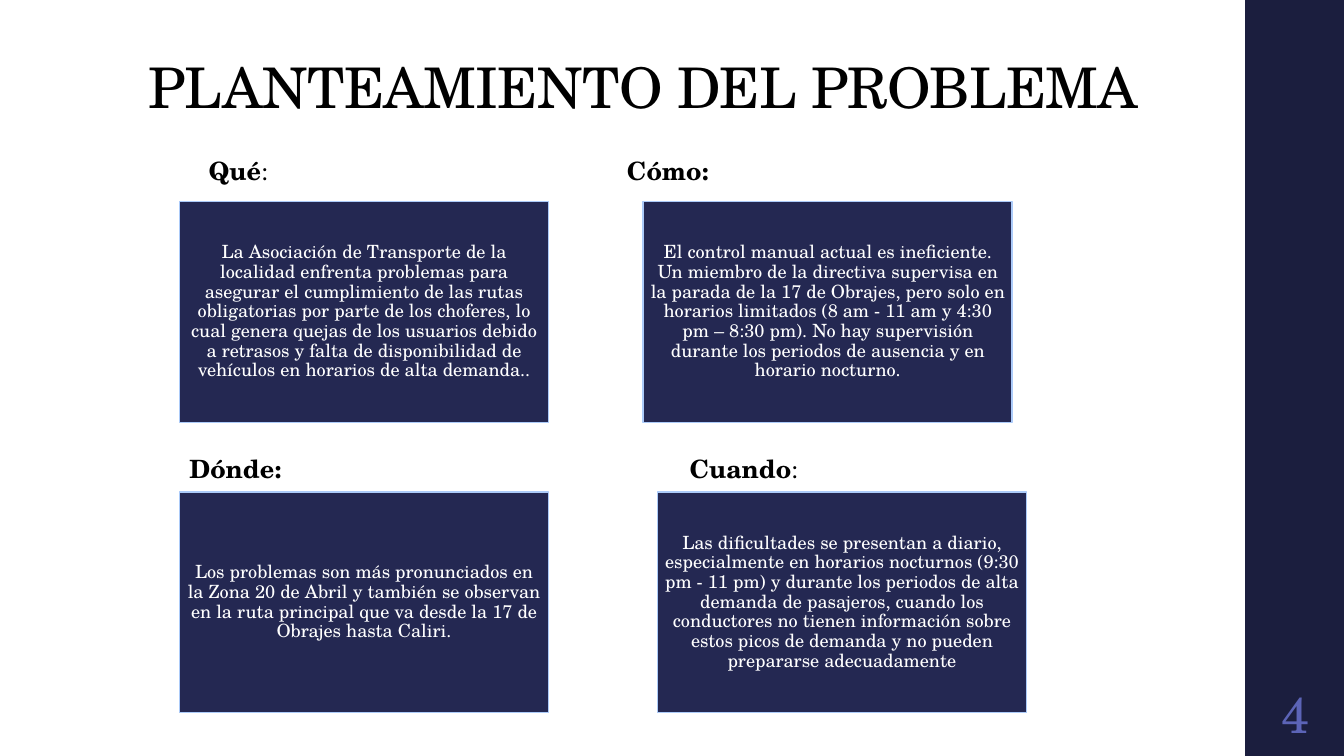
"""Builds the slide that states the problem: what, how, where and when."""
from pptx import Presentation
from pptx import util as u
from pptx.dml.color import RGBColor
from pptx.enum import shapes, text

PX = 9144
FONT = "TeX Gyre Schola"
BLACK = RGBColor(0x00, 0x00, 0x00)
WHITE = RGBColor(0xFF, 0xFF, 0xFF)
SIDEBAR = RGBColor(0x1B, 0x1E, 0x3E)
CARD = RGBColor(0x24, 0x28, 0x52)
CARD_EDGE = RGBColor(0xAC, 0xCB, 0xF9)
NUMBER = RGBColor(0x5C, 0x64, 0xB7)
CARD_WIDTH, CARD_HEIGHT = 366, 219


def px(*lengths):
    return [u.Emu(length * PX) for length in lengths]


def write(frame, runs, size, color, align, inset=None, **frame_format):
    for name, value in frame_format.items():
        setattr(frame, name, value)
    if inset is not None:
        for side in ("left", "top", "right", "bottom"):
            setattr(frame, f"margin_{side}", u.Emu(inset * PX))
    paragraph = frame.paragraphs[0]
    paragraph.alignment = align
    for words, bold in runs:
        run = paragraph.add_run()
        run.text = words
        run.font.color.rgb = color
        for name, value in {"name": FONT, "size": u.Pt(size), "bold": bold}.items():
            setattr(run.font, name, value)
    return paragraph


prs = Presentation()
prs.slide_width, prs.slide_height = px(1333, 750)
slide = prs.slides.add_slide(prs.slide_layouts[5])

sidebar = slide.shapes.add_shape(shapes.MSO_SHAPE.RECTANGLE, *px(1235, 0, 100, 750))
sidebar.shadow.inherit = False
sidebar.fill.solid()
sidebar.fill.fore_color.rgb = SIDEBAR
sidebar.line.fill.background()

title = slide.shapes.title
title.left, title.top, title.width, title.height = px(137, 24, 1060, 101)
heading = write(title.text_frame, [("PLANTEAMIENTO DEL PROBLEMA", False)], 40, BLACK,
                text.PP_ALIGN.LEFT, vertical_anchor=text.MSO_ANCHOR.BOTTOM,
                word_wrap=True, auto_size=text.MSO_AUTO_SIZE.NONE)
heading.line_spacing = 0.9
heading.runs[0]._r.get_or_add_rPr().set("spc", "-50")

questions = [
    ([("Qué", True), (":", False)], (197, 149, 80, 40), (178, 200),
     "La Asociación de Transporte de la localidad enfrenta problemas para asegurar el "
     "cumplimiento de las rutas obligatorias por parte de los choferes, lo cual genera "
     "quejas de los usuarios debido a retrasos y falta de disponibilidad de vehículos en "
     "horarios de alta demanda.."),
    ([("Cómo:", True)], (612, 149, 102, 40), (638, 200),
     "El control manual actual es ineficiente. Un miembro de la directiva supervisa en la "
     "parada de la 17 de Obrajes, pero solo en horarios limitados (8 am - 11 am y 4:30 pm "
     "– 8:30 pm). No hay supervisión durante los periodos de ausencia y en horario "
     "nocturno."),
    ([("Dónde:", True)], (178, 445, 112, 40), (178, 488),
     "Los problemas son más pronunciados en la Zona 20 de Abril y también se observan en "
     "la ruta principal que va desde la 17 de Obrajes hasta Caliri."),
    ([("Cuando", True), (":", False)], (674, 445, 129, 40), (652, 488),
     "Las dificultades se presentan a diario, especialmente en horarios nocturnos (9:30 pm "
     "- 11 pm) y durante los periodos de alta demanda de pasajeros, cuando los conductores "
     "no tienen información sobre estos picos de demanda y no pueden prepararse "
     "adecuadamente"),
]

for question, question_box, corner, answer in questions:
    card = slide.shapes.add_shape(shapes.MSO_SHAPE.RECTANGLE,
                                  *px(*corner, CARD_WIDTH, CARD_HEIGHT))
    card.shadow.inherit = False
    card.fill.solid()
    card.fill.fore_color.rgb = CARD
    card.line.color.rgb = CARD_EDGE
    card.line.width = u.Pt(1.1)
    body = write(card.text_frame, [(answer, False)], 13, WHITE, text.PP_ALIGN.CENTER,
                 inset=7, vertical_anchor=text.MSO_ANCHOR.MIDDLE, word_wrap=True)
    body.line_spacing = 0.9

    label = slide.shapes.add_textbox(*px(*question_box))
    write(label.text_frame, question, 18, BLACK, text.PP_ALIGN.LEFT,
          word_wrap=False, auto_size=text.MSO_AUTO_SIZE.SHAPE_TO_FIT_TEXT)

page_number = slide.shapes.add_textbox(*px(1235, 675, 100, 65))
write(page_number.text_frame, [("4", False)], 36, NUMBER, text.PP_ALIGN.CENTER,
      inset=5, vertical_anchor=text.MSO_ANCHOR.MIDDLE, word_wrap=True)

prs.save("out.pptx")
